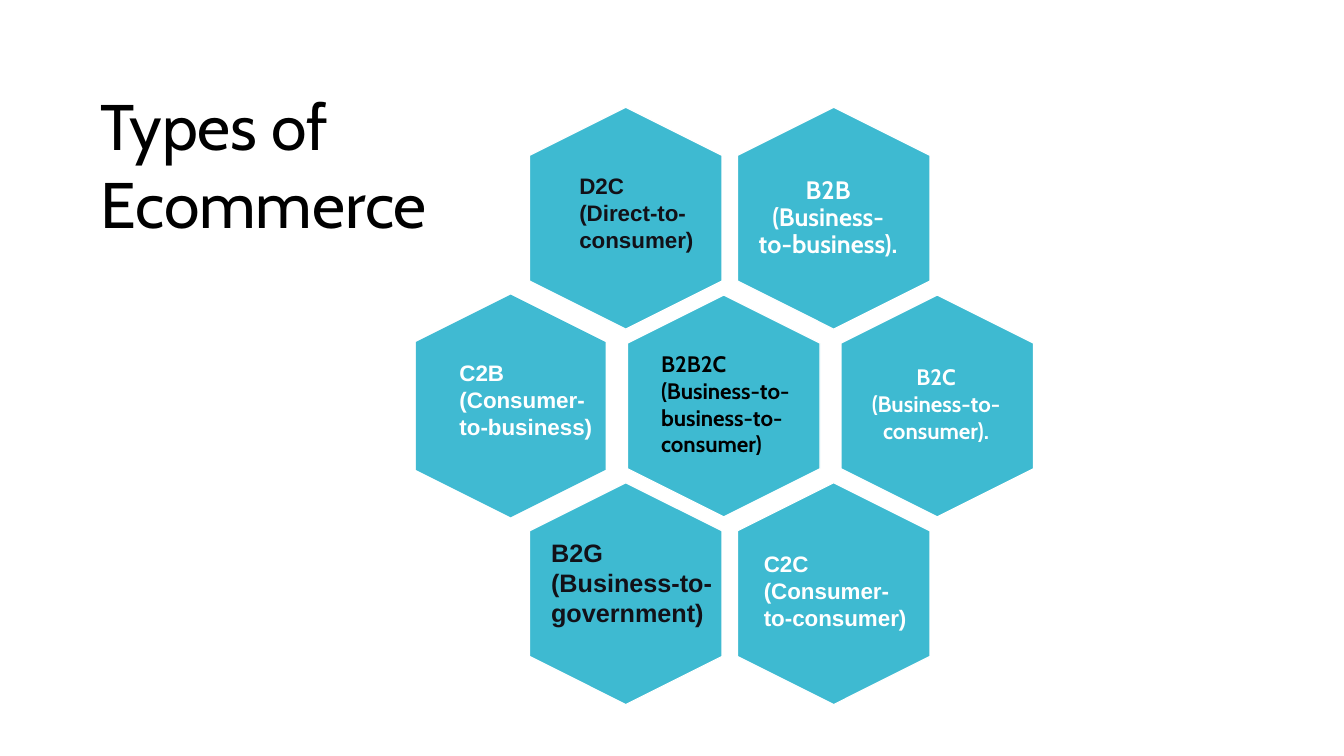
"""Build the slide on the types of ecommerce as a honeycomb of hexagons."""
from pptx import Presentation
from pptx.dml.color import RGBColor
from pptx.enum.shapes import MSO_SHAPE
from pptx.enum.text import MSO_ANCHOR, MSO_AUTO_SIZE, PP_ALIGN
from pptx.util import Cm, Pt

HEXAGON = MSO_SHAPE.HEXAGON
MIDDLE, TOP = MSO_ANCHOR.MIDDLE, MSO_ANCHOR.TOP
LEFT, CENTER = PP_ALIGN.LEFT, PP_ALIGN.CENTER
GROW = MSO_AUTO_SIZE.SHAPE_TO_FIT_TEXT

COLOURS = {
    "cell": "3EBAD1",
    "consumer_cell": "40BAD2",
    "white": "FFFFFF",
    "ink": "121118",
    "black": "000000",
}
FIRST_ROW, ROW_PITCH = 5.5, 4.73
CELL_LENGTH, CELL_WIDTH = 5.59, 4.85
CELLS = [(21.01, 0), (15.77, 0), (18.24, 1), (23.62, 1), (21.01, 2), (15.77, 2)]
LABELS = [
    ("B2C (Business-to-consumer).", (21.62, 9.02, 3.94, 2.31), 16, "Cabin", "white", CENTER),
    ("D2C (Direct-to-consumer)", (14.35, 4.22, 3.45, 2.31), 16, "Arial", "ink", LEFT),
    ("C2B (Consumer-\nto-business)", (11.33, 8.92, 3.99, 2.31), 16, "Arial", "white", LEFT),
    ("B2G (Business-to-government)", (13.64, 13.41, 4.78, 2.57), 18, "Arial", "ink", LEFT),
    ("C2C (Consumer-to-consumer)", (19, 13.74, 4.34, 2.31), 16, "Arial", "white", LEFT),
    ("B2B2C (Business-to-\nbusiness-to-\nconsumer)", (16.41, 8.69, 4.34, 3), 16, "Cabin", "black", LEFT),
]


def colour(name):
    return RGBColor.from_string(COLOURS[name])


def add_cell(slide, center_x, row, length=CELL_LENGTH, width=CELL_WIDTH,
             fill="cell", outlined=True):
    center_y = FIRST_ROW + row * ROW_PITCH
    cell = slide.shapes.add_shape(
        HEXAGON, Cm(center_x - length / 2), Cm(center_y - width / 2), Cm(length), Cm(width))
    cell.rotation = 90
    cell.shadow.inherit = False
    cell.fill.solid()
    cell.fill.fore_color.rgb = colour(fill)
    if outlined:
        cell.line.color.rgb = colour("white")
        cell.line.width = Pt(0.85)
    else:
        cell.line.fill.background()


def add_label(slide, text, place, size, font, ink, align=LEFT, bold=True,
              insets=(0.25, 0.13), anchor=TOP, spacing=None):
    label = slide.shapes.add_textbox(*map(Cm, place))
    frame = label.text_frame
    frame.text = text
    frame.word_wrap = True
    if anchor == TOP:
        frame.auto_size = GROW
    frame.vertical_anchor = anchor
    frame.margin_left = frame.margin_right = Cm(insets[0])
    frame.margin_top = frame.margin_bottom = Cm(insets[1])
    for paragraph in frame.paragraphs:
        paragraph.alignment = align
        paragraph.line_spacing = spacing
        for run in paragraph.runs:
            run.font.name = font
            run.font.size = Pt(size)
            run.font.bold = bold
            run.font.color.rgb = colour(ink)


def main():
    deck = Presentation()
    deck.slide_width, deck.slide_height = Cm(33.87), Cm(19.05)
    slide = deck.slides.add_slide(deck.slide_layouts[6])
    for center_x, row in CELLS:
        add_cell(slide, center_x, row)
    add_cell(slide, 12.87, 1, 5.61, 4.78, "consumer_cell", outlined=False)
    add_label(slide, "B2B (Business-to-business).", (18.9, 3.58, 3.94, 3.84), 18, "Cabin",
              "white", CENTER, insets=(0.18, 0.18), anchor=MIDDLE, spacing=0.9)
    for label in LABELS:
        add_label(slide, *label)
    add_label(slide, "Types of\nEcommerce", (2.29, 1.93, 9.88, 4.45), 46, "Cabin",
              "black", bold=False, insets=(0.25, 0.25))
    deck.save("out.pptx")


if __name__ == "__main__":
    main()
